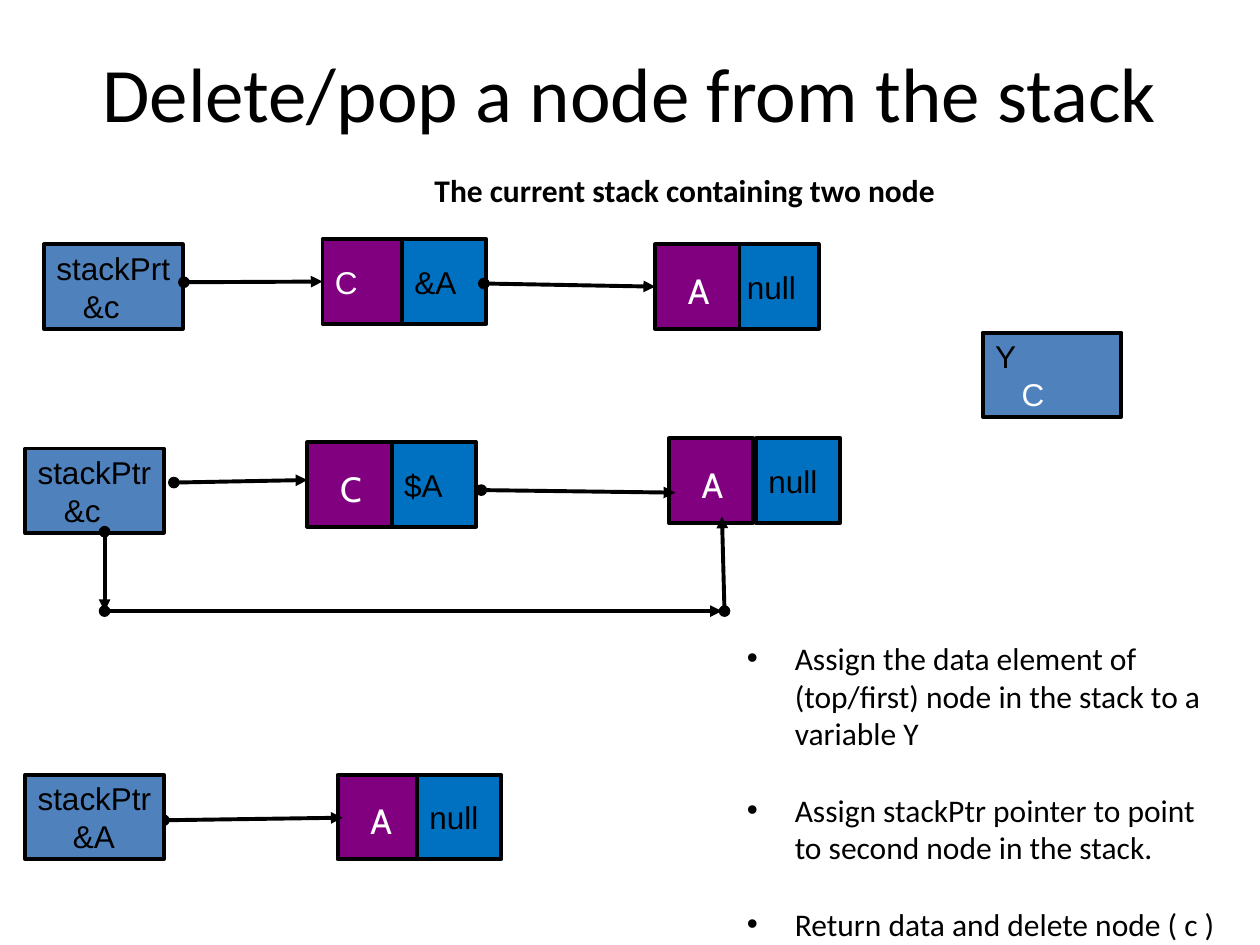
import pptx
import pptx.util
import pptx.dml.color
import pptx.enum.shapes
import pptx.enum.text
import pptx.oxml
import pptx.oxml.ns
import lxml.etree

Inches, Pt = pptx.util.Inches, pptx.util.Pt
qn = pptx.oxml.ns.qn
ALIGN = pptx.enum.text.PP_ALIGN
ANCHOR = pptx.enum.text.MSO_ANCHOR

COLORS = {
    "pointer": "4F81BD",
    "data": "800080",
    "link": "0070C0",
    "dark": "000000",
    "light": "FFFFFF",
}
CELL = 0.67
POINTER_WIDTH = 1.1
STEPS = [
    "Assign the data element of (top/first) node in the stack to a variable Y",
    "Assign stackPtr pointer to point to second node in the stack.",
    "Return data and delete node ( c )",
]


def rgb(name):
    return pptx.dml.color.RGBColor.from_string(COLORS[name])


def style(p, font="Arial", size=18, color="dark", bold=False):
    for r in p.runs:
        r.font.name = font
        r.font.size = Pt(size)
        r.font.bold = bold
        r.font.color.rgb = rgb(color)


def add_text(s, x, y, w, h, text, wrap=True, align=ALIGN.LEFT,
             anchor=ANCHOR.TOP, **font):
    tf = s.shapes.add_textbox(Inches(x), Inches(y), Inches(w), Inches(h)).text_frame
    tf.word_wrap = wrap
    tf.vertical_anchor = anchor
    p = tf.paragraphs[0]
    p.text = text
    p.alignment = align
    style(p, **font)


def add_box(s, x, y, fill, w=CELL, lines=(), colors=("dark", "dark"), indent=0.21):
    """Outlined box; its second line of text is indented."""
    sp = s.shapes.add_shape(pptx.enum.shapes.MSO_SHAPE.RECTANGLE,
                            Inches(x), Inches(y), Inches(w), Inches(CELL))
    sp.shadow.inherit = False
    sp.fill.solid()
    sp.fill.fore_color.rgb = rgb(fill)
    sp.line.color.rgb = rgb("dark")
    sp.line.width = Pt(2.25)
    tf = sp.text_frame
    tf.word_wrap = False
    tf.vertical_anchor = ANCHOR.MIDDLE
    for i, (line, color) in enumerate(zip(lines, colors)):
        p = tf.add_paragraph() if i else tf.paragraphs[0]
        p.text = line
        p.alignment = ALIGN.LEFT
        if i:
            p._p.get_or_add_pPr().set("marL", str(Inches(indent)))
        style(p, color=color)
    return sp


def add_pointer(s, x, y, *lines, **options):
    add_box(s, x, y, "pointer", POINTER_WIDTH, lines, **options)


def add_link(s, x, y, text):
    add_box(s, x, y, "link", lines=[text])


def add_data(s, x, y, letter):
    """Data cell with its letter in a centred box on top."""
    sp = add_box(s, x, y, "data")
    add_text(s, x + 0.16, y + 0.15, 0.37, 0.44, letter, wrap=False,
             align=ALIGN.CENTER, font="Cabin", size=20, color="light")
    return sp


def add_arrow(s, x1, y1, x2, y2, target=None):
    """Arrow with a round tail, joined to the left side of target if given."""
    cx = s.shapes.add_connector(pptx.enum.shapes.MSO_CONNECTOR.STRAIGHT,
                                Inches(x1), Inches(y1), Inches(x2), Inches(y2))
    if target is not None:
        cx.end_connect(target, 1)
    cx.line.color.rgb = rgb("dark")
    cx.line.width = Pt(2.25)
    ln = cx.line._get_or_add_ln()
    for tag, kind in (("a:headEnd", "oval"), ("a:tailEnd", "triangle")):
        lxml.etree.SubElement(ln, qn(tag)).set("type", kind)
    lxml.etree.SubElement(cx._element.spPr, qn("a:effectLst"))


def add_bullets(s, x, y, w, h, items):
    tf = s.shapes.add_textbox(Inches(x), Inches(y), Inches(w), Inches(h)).text_frame
    tf.word_wrap = True
    for i, item in enumerate(items):
        p = tf.add_paragraph() if i else tf.paragraphs[0]
        p.text = item
        pPr = p._p.get_or_add_pPr()
        pPr.set("marL", str(Inches(0.38)))
        pPr.set("indent", str(-Inches(0.38)))
        lxml.etree.SubElement(pPr, qn("a:buFont")).set("typeface", "Arial")
        lxml.etree.SubElement(pPr, qn("a:buChar")).set("char", "•")
        if i:
            p.space_before = Pt(22)
        style(p, font="Calibri")


def add_current_stack(s):
    add_pointer(s, 0.35, 1.94, "stackPrt", "&c")
    top = add_box(s, 2.56, 1.9, "data", lines=["C"], colors=["light"])
    add_link(s, 3.19, 1.9, "&A")
    add_link(s, 5.83, 1.94, "null")
    second = add_data(s, 5.2, 1.94, "A")
    add_arrow(s, 1.46, 2.24, 2.56, 2.24, top)
    add_arrow(s, 3.84, 2.25, 5.2, 2.27, second)


def add_moved_pointer(s):
    add_pointer(s, 0.2, 3.56, "stackPtr", "&c")
    add_data(s, 2.44, 3.51, "C")
    add_link(s, 3.11, 3.51, "$A")
    add_data(s, 5.31, 3.48, "A")
    add_link(s, 6, 3.48, "null")
    add_arrow(s, 1.38, 3.83, 2.44, 3.81)
    add_arrow(s, 3.82, 3.89, 5.36, 3.91)
    add_arrow(s, 0.83, 4.22, 0.83, 4.85)
    add_arrow(s, 0.83, 4.85, 5.73, 4.85)
    add_arrow(s, 5.75, 4.85, 5.73, 4.1)


def add_final_stack(s):
    add_data(s, 2.68, 6.15, "A")
    add_link(s, 3.31, 6.15, "null")
    add_arrow(s, 1.3, 6.51, 2.72, 6.49)
    add_pointer(s, 0.2, 6.15, "stackPtr", "&A", indent=0.28)


def main():
    prs = pptx.Presentation()
    prs.slide_width, prs.slide_height = Inches(10), Inches(7.5)
    s = prs.slides.add_slide(prs.slide_layouts[6])
    add_text(s, 0.5, 0.3, 9, 0.85, "Delete/pop a node from the stack",
             align=ALIGN.CENTER, anchor=ANCHOR.MIDDLE, font="Calibri", size=44)
    add_text(s, 3.35, 1.31, 4.33, 0.4, "The current stack containing two node",
             font="Calibri", bold=True)
    add_current_stack(s)
    add_moved_pointer(s)
    add_final_stack(s)
    add_pointer(s, 7.8, 2.64, "Y", "C", colors=("dark", "light"))
    add_bullets(s, 5.83, 5.02, 3.94, 2.52, STEPS)
    prs.save("out.pptx")


if __name__ == "__main__":
    main()
